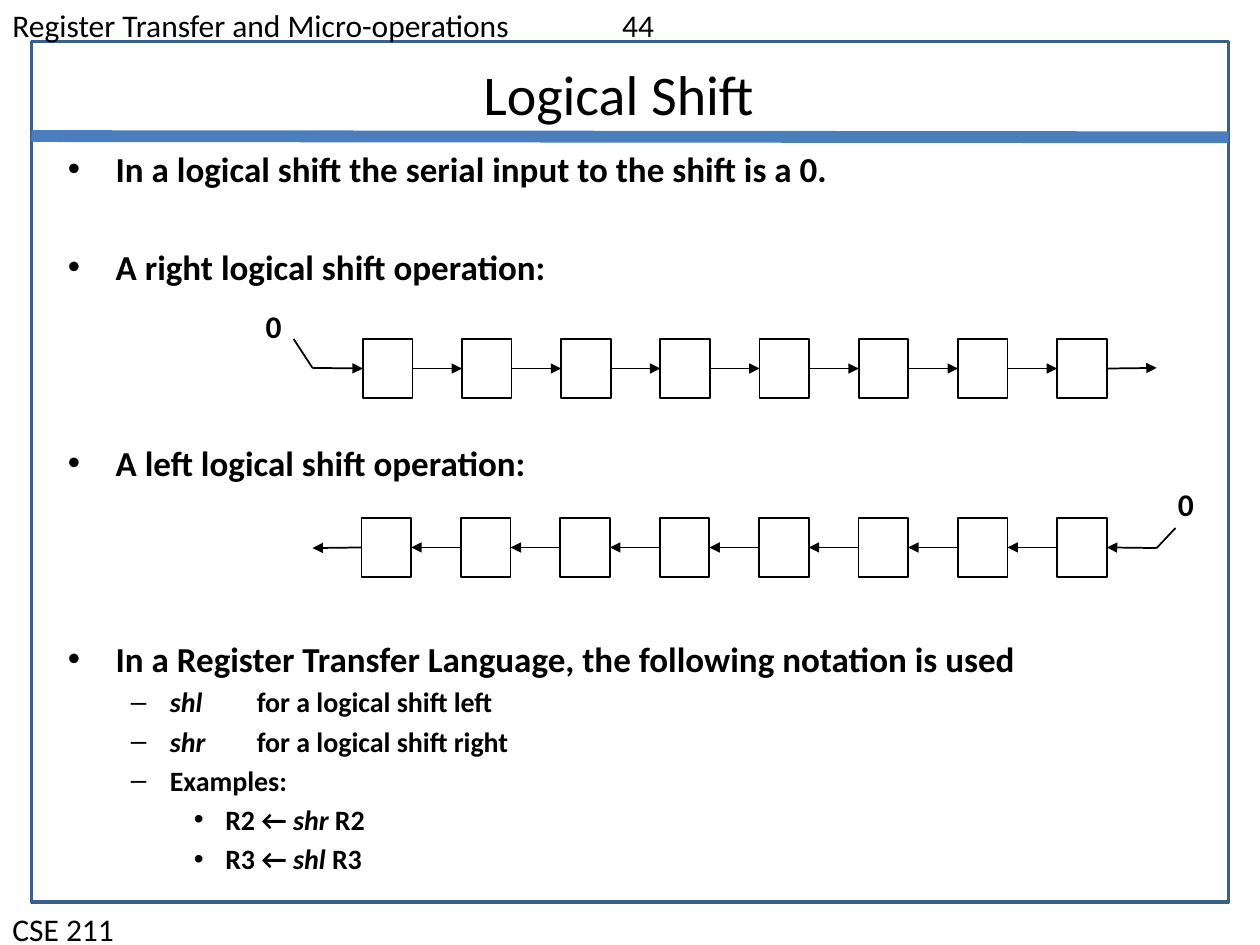
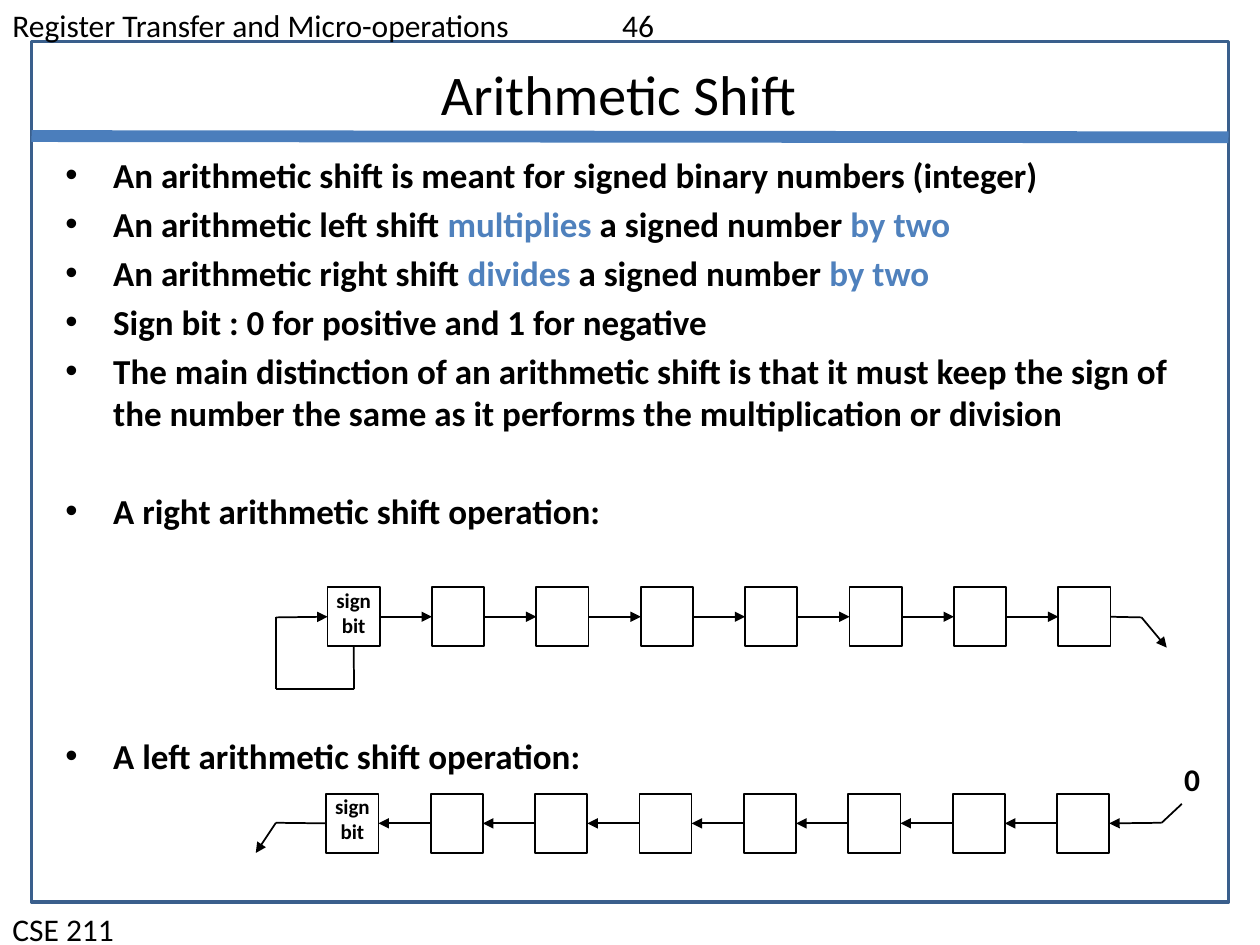
import itertools
from collections import namedtuple

import pptx
import pptx.dml.color
import pptx.enum.shapes
import pptx.enum.text
import pptx.oxml
import pptx.oxml.ns
import pptx.util
from lxml import etree

Inches = pptx.util.Inches
Pt = pptx.util.Pt
RGBColor = pptx.dml.color.RGBColor
PP_ALIGN = pptx.enum.text.PP_ALIGN
MSO_ANCHOR = pptx.enum.text.MSO_ANCHOR
qn = pptx.oxml.ns.qn

BLACK = RGBColor(0x00, 0x00, 0x00)
FRAME = RGBColor(0x3A, 0x5F, 0x8C)
BAND = RGBColor(0x4B, 0x7E, 0xBC)
ACCENT = RGBColor(0x4F, 0x81, 0xBD)

# Connection sites of a rectangle
LEFT, BOTTOM, RIGHT = 1, 2, 3

CELLS = 8
CELL_H = 0.47

# Per outline level: text size, left margin, hanging indent, bullet
LEVELS = [(20, 0.38, 0.38, "•"), (16, 0.81, 0.31, "–"), (16, 1.25, 0.25, "•")]
BLANK_LINE = 28  # points of room kept per empty line above a bullet

Joint = namedtuple("Joint", "cell site")
Bullet = namedtuple("Bullet", "runs level lines_above", defaults=(0, 0))


def add_run(p, text, size=18, bold=False, italic=False, color=BLACK):
    r = p.add_run()
    r.text = text
    r.font.name = "Calibri"
    r.font.size = Pt(size)
    r.font.bold = bold
    r.font.italic = italic
    r.font.color.rgb = color


class Deck:
    def __init__(self):
        self.prs = pptx.Presentation()
        self.prs.slide_width, self.prs.slide_height = Inches(10), Inches(7.5)
        self.s = None

    def slide(self, title, number):
        """Start a slide with its frame, header, footer, band and title."""
        self.s = self.prs.slides.add_slide(self.prs.slide_layouts[5])
        self.rect(0.25, 0.33, 9.5, 6.83, FRAME, 2)
        header = self.text(0, 0, 10, f"Register Transfer and Micro-operations\t{number}")
        tabs = etree.SubElement(header._p.get_or_add_pPr(), qn("a:tabLst"))
        etree.SubElement(tabs, qn("a:tab"), pos=str(Inches(4.84)), algn="l")
        self.text(0, 7.17, 10, "CSE 211")
        self.line((0.25, 1.08), (9.75, 1.09), color=BAND, width=6.75)

        sp = self.s.shapes.title
        sp.left, sp.top, sp.width, sp.height = map(Inches, (0.7, 0.42, 8.42, 0.64))
        tf = sp.text_frame
        tf.vertical_anchor = MSO_ANCHOR.TOP
        tf.paragraphs[0].alignment = PP_ALIGN.CENTER
        add_run(tf.paragraphs[0], title, size=32)

    def rect(self, x, y, w, h, color=BLACK, width=1):
        sp = self.s.shapes.add_shape(
            pptx.enum.shapes.MSO_SHAPE.RECTANGLE, *map(Inches, (x, y, w, h)))
        sp.shadow.inherit = False
        sp.fill.background()
        sp.line.color.rgb = color
        sp.line.width = Pt(width)
        return sp

    def text(self, x, y, w, text, wrap=True, **fmt):
        sp = self.s.shapes.add_textbox(*map(Inches, (x, y, w, 0.4)))
        sp.text_frame.word_wrap = wrap
        p = sp.text_frame.paragraphs[0]
        add_run(p, text, **fmt)
        return p

    def line(self, start, end, arrow=False, color=BLACK, width=1):
        """Draw a straight line; each end is a point or a Joint on a cell."""
        points = [(0, 0) if isinstance(e, Joint) else e for e in (start, end)]
        c = self.s.shapes.add_connector(
            pptx.enum.shapes.MSO_CONNECTOR.STRAIGHT,
            *map(Inches, itertools.chain(*points)))
        if isinstance(start, Joint):
            c.begin_connect(*start)
        if isinstance(end, Joint):
            c.end_connect(*end)
        c.line.color.rgb = color
        c.line.width = Pt(width)
        if arrow:
            etree.SubElement(c.line._get_or_add_ln(), qn("a:tailEnd"), type="triangle")
        etree.SubElement(c._element.spPr, qn("a:effectLst"))

    def route(self, *stops, arrow=False):
        """Draw lines through all stops, with any arrowhead on the last."""
        last = len(stops) - 2
        for i in range(last + 1):
            self.line(stops[i], stops[i + 1], arrow=arrow and i == last)

    def bullets(self, x, y, w, h, items):
        sp = self.s.shapes.add_textbox(*map(Inches, (x, y, w, h)))
        tf = sp.text_frame
        tf.word_wrap = True
        for i, item in enumerate(items):
            p = tf.add_paragraph() if i else tf.paragraphs[0]
            size, margin, hang, mark = LEVELS[item.level]
            p.level = item.level
            pPr = p._p.get_or_add_pPr()
            pPr.set("marL", str(Inches(margin)))
            pPr.set("indent", str(-Inches(hang)))
            etree.SubElement(pPr, qn("a:buFont"), typeface="Arial")
            etree.SubElement(pPr, qn("a:buChar"), char=mark)
            if i:
                p.space_before = Pt(0.2 * size + BLANK_LINE * item.lines_above)
            for run in item.runs:
                text, fmt = (run, {}) if isinstance(run, str) else run
                add_run(p, text, size=size, bold=True, **fmt)

    def register(self, first, last, top, to_right):
        """Draw a row of cells, gaps as wide as cells, joined by arrows."""
        pitch = (last - first) / (CELLS - 1)
        cells = [self.rect(first + i * pitch, top, pitch / 2, CELL_H)
                 for i in range(CELLS)]
        for a, b in itertools.pairwise(cells):
            ends = Joint(a, RIGHT), Joint(b, LEFT)
            self.line(*(ends if to_right else ends[::-1]), arrow=True)
        return cells[0], cells[-1]

    def sign_bit(self, cell):
        tf = cell.text_frame
        tf.margin_left = tf.margin_right = tf.margin_top = tf.margin_bottom = 0
        tf.vertical_anchor = MSO_ANCHOR.TOP
        for i, word in enumerate(("sign", "bit")):
            p = tf.add_paragraph() if i else tf.paragraphs[0]
            p.alignment = PP_ALIGN.CENTER
            add_run(p, word, size=12, bold=True)

    def zero(self, x, y):
        self.text(x, y, 0.33, "0", wrap=False, bold=True)


def italic(text):
    return text, {"italic": True}


def accent(text):
    return text, {"color": ACCENT}


def logical_shift(deck):
    deck.slide("Logical Shift", 44)
    deck.bullets(0.44, 1.12, 8.97, 6.21, [
        Bullet(["In a logical shift the serial input to the shift is a 0."]),
        Bullet(["A right logical shift operation:"], lines_above=1),
        Bullet(["A left logical shift operation:"], lines_above=3),
        Bullet(["In a Register Transfer Language, the following notation is used"],
               lines_above=3),
        Bullet([italic("shl"), "\tfor a logical shift left"], 1),
        Bullet([italic("shr"), "\tfor a logical shift right"], 1),
        Bullet(["Examples:"], 1),
        Bullet(["R2 ← ", italic("shr"), " R2"], 2),
        Bullet(["R3 ← ", italic("shl"), " R3"], 2),
    ])

    # Right shift: 0 enters on the left
    first, last = deck.register(2.88, 8.39, 2.69, to_right=True)
    deck.route((2.33, 2.69), (2.48, 2.92), Joint(first, LEFT), arrow=True)
    deck.line(Joint(last, RIGHT), (9.18, 2.92), arrow=True)
    deck.zero(2.01, 2.39)

    # Left shift: 0 enters on the right
    first, last = deck.register(2.87, 8.39, 4.11, to_right=False)
    deck.route((9.33, 4.19), (9.18, 4.35), Joint(last, RIGHT), arrow=True)
    deck.line(Joint(first, LEFT), (2.48, 4.35), arrow=True)
    deck.zero(9.25, 3.8)


def arithmetic_shift(deck):
    deck.slide("Arithmetic Shift", 46)
    deck.bullets(0.42, 1.17, 9.19, 5.74, [
        Bullet(["An arithmetic shift is meant for signed binary numbers (integer)"]),
        Bullet(["An arithmetic left shift ", accent("multiplies"),
                " a signed number ", accent("by two")]),
        Bullet(["An arithmetic right shift ", accent("divides"),
                " a signed number ", accent("by two")]),
        Bullet(["Sign bit : 0 for positive and 1 for negative"]),
        Bullet(["The main distinction of an arithmetic shift is that it must keep "
                "the sign of the number the same as it performs the "
                "multiplication or division"]),
        Bullet(["A right arithmetic shift operation:"], lines_above=1),
        Bullet(["A left arithmetic shift operation:"], lines_above=4),
    ])

    # Right shift: the sign bit feeds itself
    first, last = deck.register(2.6, 8.4, 4.66, to_right=True)
    deck.sign_bit(first)
    deck.route(Joint(first, BOTTOM), (2.81, 5.47), (2.19, 5.47), (2.19, 4.9),
               Joint(first, LEFT), arrow=True)
    deck.route(Joint(last, RIGHT), (9.06, 4.9), (9.26, 5.14), arrow=True)

    # Left shift: 0 enters on the right
    first, last = deck.register(2.59, 8.39, 6.3, to_right=False)
    deck.sign_bit(first)
    deck.route((9.38, 6.38), (9.22, 6.53), Joint(last, RIGHT), arrow=True)
    deck.route(Joint(first, LEFT), (2.19, 6.53), (2.03, 6.77), arrow=True)
    deck.zero(9.3, 5.98)


def main():
    deck = Deck()
    logical_shift(deck)
    arithmetic_shift(deck)
    deck.prs.save("out.pptx")


if __name__ == "__main__":
    main()
